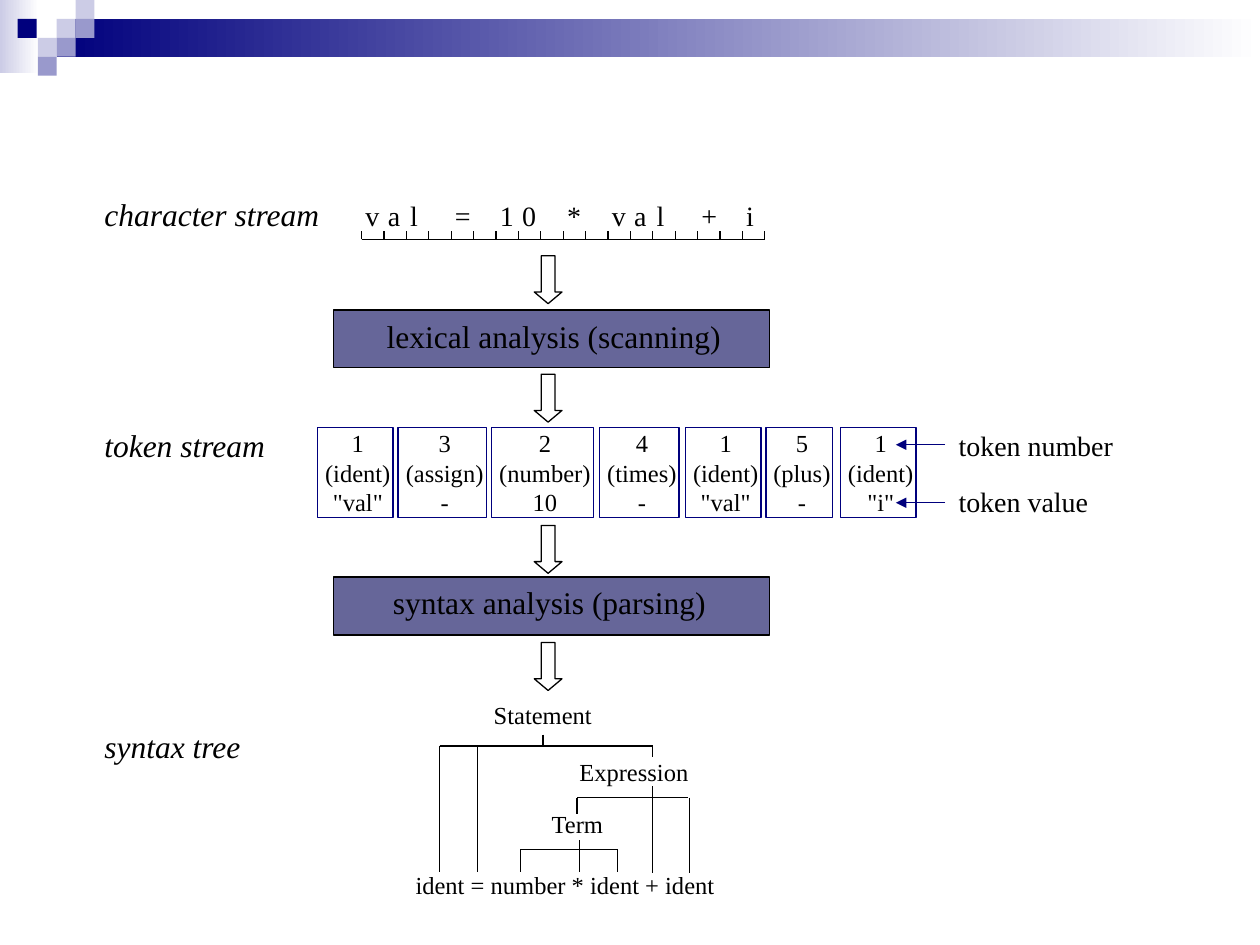
from pptx import Presentation
from pptx import util as u
from pptx.dml.color import RGBColor
from pptx.enum import shapes, text
from pptx.oxml.ns import qn
from lxml import etree

NAVY, LILAC, MID, SLATE = "00007D", "CCCCE6", "9999CC", "666699"
BLACK, WHITE = "000000", "FFFFFF"
RECT, DOWN = shapes.MSO_SHAPE.RECTANGLE, shapes.MSO_SHAPE.DOWN_ARROW
LEFT, MIDDLE = text.PP_ALIGN.LEFT, text.PP_ALIGN.CENTER
FONT = "Times New Roman"

# Text insets: left, top, right, bottom
PAD = {"label": (0.1, 0.05, 0.04, 0.05), "stage": (0.06, 0.05, 0.06, 0.05),
       "token": (0.04, 0.01, 0, 0.01), "char": (0, 0, 0, 0)}

# Header: fading bars, then small squares
bars = [((0, 0, 0.31, 0.58), LILAC), ((0.45, 0.15, 9.55, 0.3), NAVY)]
tiles = [(0.45, 0.15, LILAC), (0.6, 0, LILAC), (0.6, 0.15, MID),
         (0.3, 0.3, LILAC), (0.14, 0.15, NAVY), (0.45, 0.3, MID),
         (0.3, 0.45, MID)]

# Character stream: one character per cell
chars = "val = 10 * val + i"
ruler = {"left": 2.87, "right": 6.07, "base": 1.9, "tick": 1.83}
widths = {"a": 0.1, "l": 0.06, "i": 0.06, "=": 0.13, "+": 0.13}

# Stages and the block arrows between them
stages = [(2.46, "lexical analysis (scanning)", (2.97, 2.47, 2.85, 0.4)),
          (4.58, "syntax analysis (parsing)", (3.02, 4.58, 2.68, 0.4))]
arrows = [2.03, 2.97, 4.17, 5.1]

# Tokens: left, width, number, kind, value
tokens = [(2.52, 0.6, "1", "(ident)", '"val"'),
          (3.16, 0.7, "3", "(assign)", "-"),
          (3.9, 0.81, "2", "(number)", "10"),
          (4.76, 0.63, "4", "(times)", "-"),
          (5.44, 0.6, "1", "(ident)", '"val"'),
          (6.08, 0.53, "5", "(plus)", "-"),
          (6.67, 0.6, "1", "(ident)", '"i"')]
pointers = [3.53, 3.99]

# Labels: words, box, size, italic
labels = [("character stream", (0.73, 1.5, 1.91, 0.4), 18, True),
          ("token stream", (0.73, 3.33, 1.48, 0.4), 18, True),
          ("syntax tree", (0.73, 5.72, 1.29, 0.4), 18, True),
          ("token number", (7.51, 3.35, 1.42, 0.37), 16, False),
          ("token value", (7.51, 3.8, 1.23, 0.37), 16, False),
          ("Statement", (3.82, 5.51, 0.98, 0.34), 14, False),
          ("Expression", (4.5, 5.96, 1.06, 0.34), 14, False),
          ("Term", (4.28, 6.37, 0.62, 0.34), 14, False),
          ("ident = number * ident + ident", (3.2, 6.86, 2.57, 0.34), 14, False)]

# Syntax tree: level of each bar, its two ends, and the stems (x, from, to)
tree = [(5.92, 3.49, 5.18, [(4.31, 5.83, 5.92), (3.49, 5.92, 6.92),
                            (3.79, 5.92, 6.92), (5.18, 5.92, 6.01)]),
        (6.33, 4.58, 5.46, [(4.58, 6.33, 6.46), (5.18, 6.24, 6.93),
                            (5.47, 6.33, 6.93)]),
        (6.74, 4.13, 4.9, [(4.13, 6.74, 6.92), (4.6, 6.67, 6.92),
                           (4.9, 6.74, 6.92)])]

deck = Presentation()
deck.slide_width, deck.slide_height = u.Inches(10), u.Inches(7.5)
page = deck.slides.add_slide(deck.slide_layouts[6]).shapes


def color(code):
    return RGBColor.from_string(code)


def apply(item, values):
    for key, value in values.items():
        setattr(item, key, value)


def block(box, fill=None, line=None, kind=RECT):
    item = page.add_shape(kind, *map(u.Inches, box))
    item.shadow.inherit = False
    if fill:
        item.fill.solid()
        item.fill.fore_color.rgb = color(fill)
    else:
        item.fill.background()
    if line:
        item.line.color.rgb = color(line)
        item.line.width = u.Pt(0.75)
    else:
        item.line.fill.background()
    return item


def write(item, lines, size, pad="label", align=LEFT, italic=False):
    frame = item.text_frame
    sides = ("margin_left", "margin_top", "margin_right", "margin_bottom")
    apply(frame, dict(zip(sides, map(u.Inches, PAD[pad]))))
    apply(frame, {"word_wrap": False, "vertical_anchor": text.MSO_ANCHOR.TOP,
                  "auto_size": text.MSO_AUTO_SIZE.NONE})
    for n, words in enumerate(lines):
        para = frame.paragraphs[0] if n == 0 else frame.add_paragraph()
        para.alignment = align
        run = para.add_run()
        run.text = words
        apply(run.font, {"name": FONT, "size": u.Pt(size), "italic": italic})
        run.font.color.rgb = color(BLACK)


def label(words, box, size, **style):
    write(page.add_textbox(*map(u.Inches, box)), [words], size, **style)


def rule(x1, y1, x2, y2, code=BLACK, head=False):
    item = page.add_connector(shapes.MSO_CONNECTOR.STRAIGHT,
                              *map(u.Inches, (x1, y1, x2, y2)))
    item.line.color.rgb = color(code)
    item.line.width = u.Pt(0.75)
    if head:
        line = item.line._get_or_add_ln()
        etree.SubElement(line, qn("a:tailEnd"), type="triangle")
    etree.SubElement(item._element.spPr, qn("a:effectLst"))


# Header
for box, code in bars:
    fill = block(box, code).fill
    fill.gradient()
    fill.gradient_angle = 0
    for stop, shade in zip(fill.gradient_stops, (code, WHITE)):
        stop.color.rgb = color(shade)
for x, y, code in tiles:
    block((x, y, 0.15, 0.15), code)

# Ruler with its characters
left, right, base = ruler["left"], ruler["right"], ruler["base"]
step = (right - left) / len(chars)
rule(left, base, right, base)
for n in range(len(chars) + 1):
    x = left + n * step
    rule(x, base, x, ruler["tick"])
for n, char in enumerate(chars):
    if char != " ":
        box = (left + n * step + 0.03, 1.58, widths.get(char, 0.11), 0.27)
        label(char, box, 16, pad="char")

# Stages and block arrows
for y, words, box in stages:
    block((2.65, y, 3.46, 0.46), SLATE, BLACK)
    label(words, box, 18, pad="stage", align=MIDDLE)
for y in arrows:
    arrow = block((4.24, y, 0.22, 0.38), None, BLACK, DOWN)
    arrow.adjustments[0], arrow.adjustments[1] = 0.5, 0.42

# Tokens and their pointers
for x, width, *lines in tokens:
    cell = block((x, 3.39, width, 0.72), None, NAVY)
    write(cell, lines, 14, "token", MIDDLE)
for y in pointers:
    rule(7.5, y, 7.11, y, NAVY, True)

# Syntax tree
for y, start, end, stems in tree:
    rule(start, y, end, y)
    for x, top, foot in stems:
        rule(x, top, x, foot)

for words, box, size, italic in labels:
    label(words, box, size, italic=italic)

deck.save("out.pptx")
